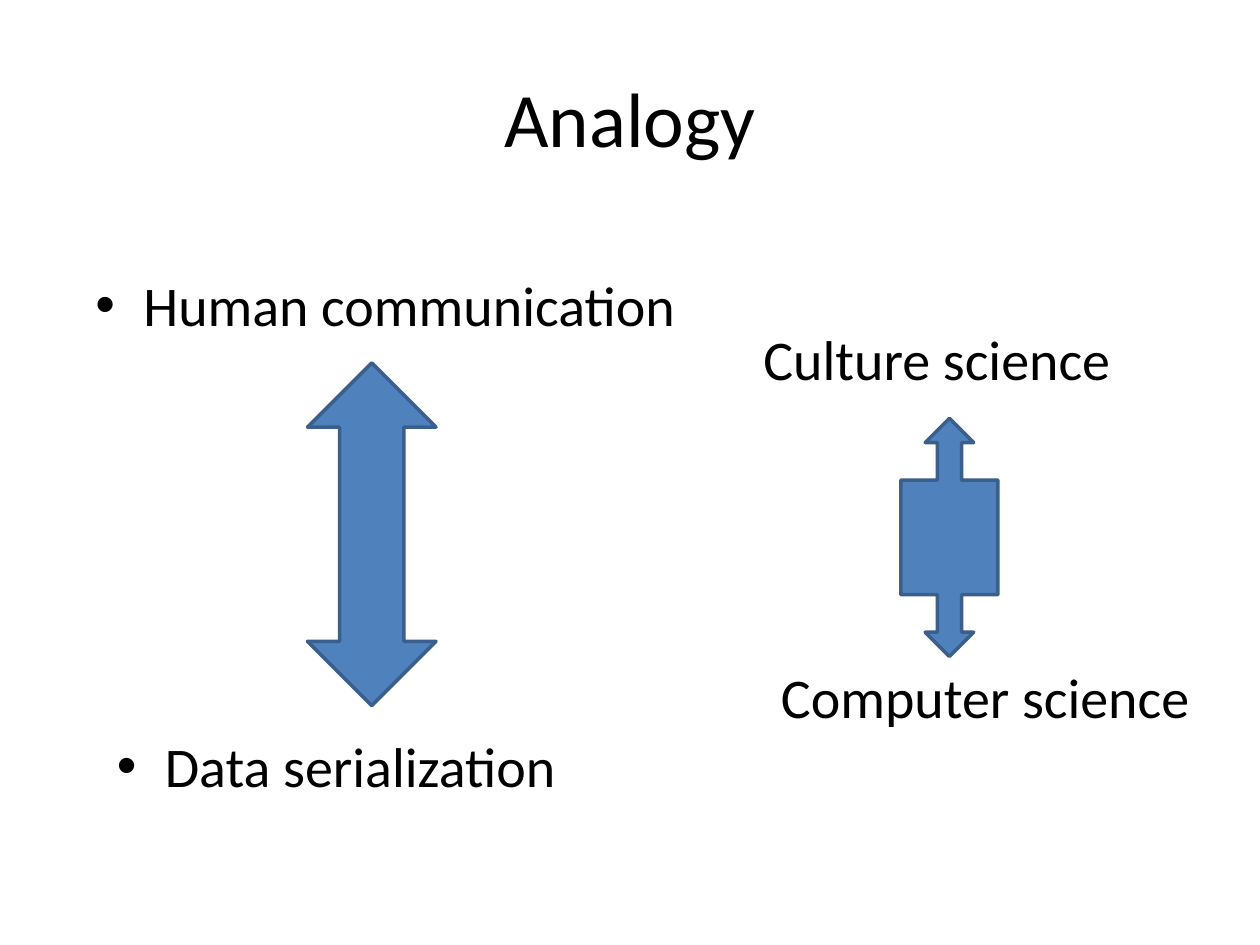
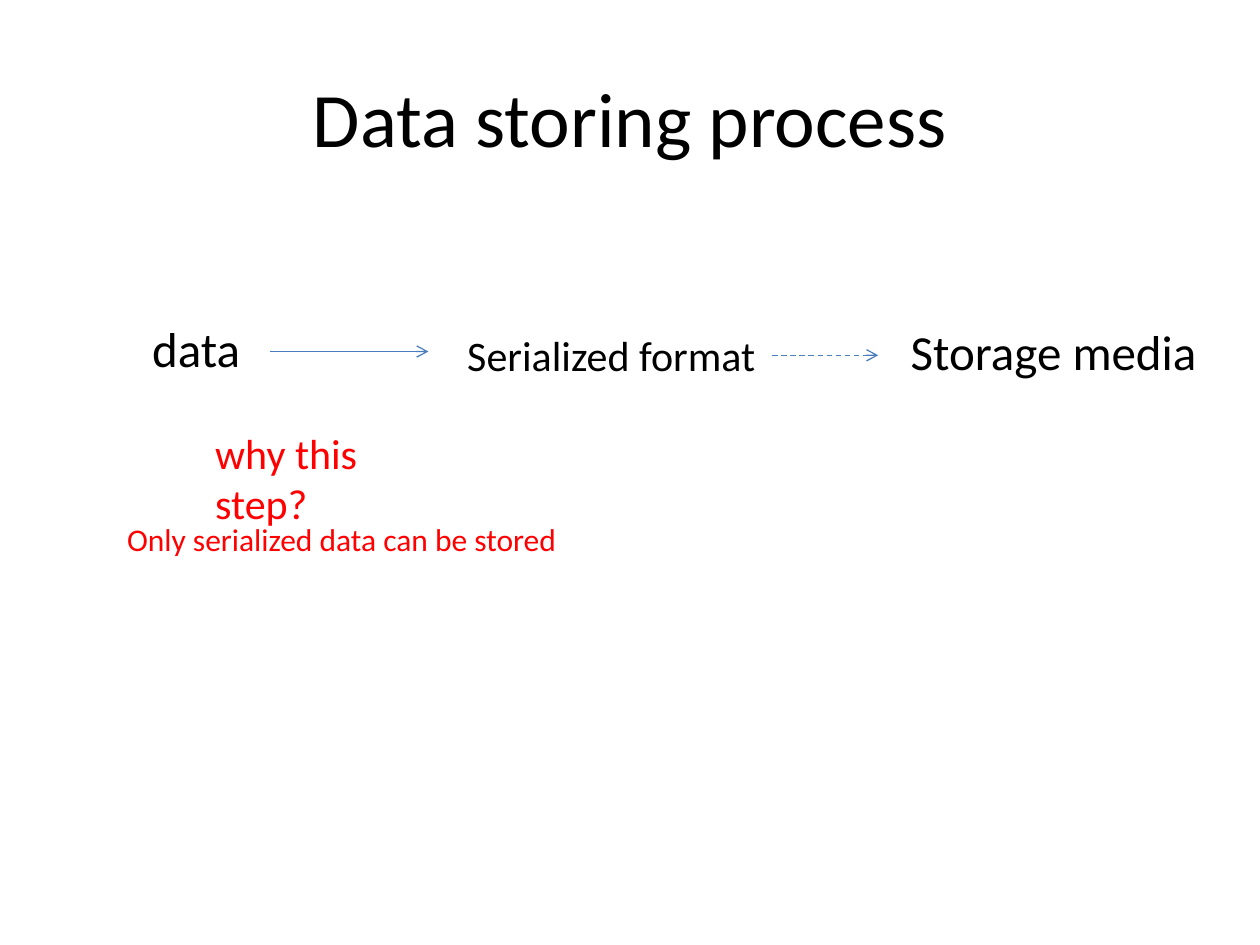
from dataclasses import dataclass

from lxml.etree import SubElement
from pptx import Presentation
from pptx.dml.color import RGBColor
from pptx.enum.dml import MSO_LINE
from pptx.enum.shapes import MSO_CONNECTOR, MSO_SHAPE
from pptx.enum.text import MSO_ANCHOR, PP_ALIGN
from pptx.oxml.ns import qn
from pptx.presentation import Presentation as Deck
from pptx.slide import Slide
from pptx.text.text import _Paragraph as Paragraph
from pptx.util import Inches, Pt

TITLE_ONLY = 5


@dataclass(frozen=True)
class Theme:
    font: str = "Calibri"
    ink: RGBColor = RGBColor(0x00, 0x00, 0x00)
    remark: RGBColor = RGBColor(0xFF, 0x00, 0x00)
    arrow_fill: RGBColor = RGBColor(0x4F, 0x81, 0xBD)
    arrow_edge: RGBColor = RGBColor(0x3A, 0x5F, 0x8C)
    flow: RGBColor = RGBColor(0x4B, 0x7E, 0xBC)
    title_size: int = 44
    topic_size: int = 32
    stage_size: int = 28
    detail_size: int = 24
    note_size: int = 18
    edge_width: float = 2
    flow_width: float = 0.75


THEME = Theme()


@dataclass(frozen=True)
class Label:
    text: str
    left: float
    top: float
    width: float
    height: float
    size: int
    color: RGBColor = THEME.ink
    bulleted: bool = False


@dataclass(frozen=True)
class BlockArrow:
    kind: MSO_SHAPE
    left: float
    top: float
    width: float
    height: float
    rotation: float = 0


@dataclass(frozen=True)
class FlowArrow:
    start: float
    end: float
    y: float
    dashed: bool = False


ANALOGY_LABELS = (
    Label("Human communication", 0.66, 2.1, 5.13, 1.13, THEME.topic_size, bulleted=True),
    Label("Data serialization", 0.83, 5.76, 5.13, 1.13, THEME.topic_size, bulleted=True),
    Label("Culture science", 5.96, 2.53, 3.15, 0.4, THEME.topic_size),
    Label("Computer science", 6.1, 5.21, 3.53, 1.18, THEME.topic_size),
)
ANALOGY_ARROWS = (
    BlockArrow(MSO_SHAPE.UP_DOWN_ARROW, 2.44, 2.88, 1.02, 2.72),
    BlockArrow(MSO_SHAPE.LEFT_RIGHT_ARROW_CALLOUT, 6.59, 3.88, 1.89, 0.77, rotation=90),
)
STORING_LABELS = (
    Label("data", 1.11, 2.48, 2.28, 0.57, THEME.stage_size),
    Label("Storage media", 7.13, 2.5, 2.67, 0.57, THEME.stage_size),
    Label("Serialized format", 3.61, 2.57, 2.52, 0.5, THEME.detail_size),
    Label("why this step?", 1.61, 3.34, 2.05, 0.5, THEME.detail_size, THEME.remark),
    Label("Only serialized data can be stored", 0.91, 4.08, 4.49, 0.71,
          THEME.note_size, THEME.remark),
)
STORING_FLOWS = (
    FlowArrow(2.14, 3.4, 2.79),
    FlowArrow(6.13, 6.97, 2.82, dashed=True),
)


def style_text(paragraph: Paragraph, size: int, color: RGBColor) -> None:
    for run in paragraph.runs:
        run.font.name = THEME.font
        run.font.size = Pt(size)
        run.font.color.rgb = color


def add_bullet(paragraph: Paragraph) -> None:
    """Give the paragraph a round bullet with a hanging indent."""
    properties = paragraph._p.get_or_add_pPr()
    indent = Inches(0.38)
    properties.set("marL", str(indent))
    properties.set("indent", str(-indent))
    SubElement(properties, qn("a:buFont")).set("typeface", "Arial")
    SubElement(properties, qn("a:buChar")).set("char", "•")


def add_titled_slide(deck: Deck, heading: str) -> Slide:
    slide = deck.slides.add_slide(deck.slide_layouts[TITLE_ONLY])
    title = slide.shapes.title
    title.left, title.top = Inches(0.5), Inches(0.3)
    title.width, title.height = Inches(9), Inches(1.25)
    title.text_frame.text = heading
    title.text_frame.vertical_anchor = MSO_ANCHOR.MIDDLE
    paragraph = title.text_frame.paragraphs[0]
    paragraph.alignment = PP_ALIGN.CENTER
    style_text(paragraph, THEME.title_size, THEME.ink)
    return slide


def add_label(slide: Slide, label: Label) -> None:
    box = slide.shapes.add_textbox(Inches(label.left), Inches(label.top),
                                   Inches(label.width), Inches(label.height))
    box.text_frame.word_wrap = True
    box.text_frame.text = label.text
    paragraph = box.text_frame.paragraphs[0]
    style_text(paragraph, label.size, label.color)
    if label.bulleted:
        add_bullet(paragraph)


def add_block_arrow(slide: Slide, arrow: BlockArrow) -> None:
    block = slide.shapes.add_shape(arrow.kind, Inches(arrow.left), Inches(arrow.top),
                                   Inches(arrow.width), Inches(arrow.height))
    block.rotation = arrow.rotation
    block.shadow.inherit = False
    block.fill.solid()
    block.fill.fore_color.rgb = THEME.arrow_fill
    block.line.color.rgb = THEME.arrow_edge
    block.line.width = Pt(THEME.edge_width)


def add_flow_arrow(slide: Slide, flow: FlowArrow) -> None:
    connector = slide.shapes.add_connector(
        MSO_CONNECTOR.STRAIGHT, Inches(flow.start), Inches(flow.y),
        Inches(flow.end), Inches(flow.y))
    connector.line.color.rgb = THEME.flow
    connector.line.width = Pt(THEME.flow_width)
    if flow.dashed:
        connector.line.dash_style = MSO_LINE.DASH
    properties = connector._element.spPr
    SubElement(properties.find(qn("a:ln")), qn("a:tailEnd")).set("type", "arrow")
    SubElement(properties, qn("a:effectLst"))


def build_analogy(deck: Deck) -> None:
    slide = add_titled_slide(deck, "Analogy")
    for label in ANALOGY_LABELS:
        add_label(slide, label)
    for arrow in ANALOGY_ARROWS:
        add_block_arrow(slide, arrow)


def build_storing_process(deck: Deck) -> None:
    slide = add_titled_slide(deck, "Data storing process")
    for label in STORING_LABELS:
        add_label(slide, label)
    for flow in STORING_FLOWS:
        add_flow_arrow(slide, flow)


def main() -> None:
    deck = Presentation()
    deck.slide_width, deck.slide_height = Inches(10), Inches(7.5)
    build_analogy(deck)
    build_storing_process(deck)
    deck.save("out.pptx")


if __name__ == "__main__":
    main()
